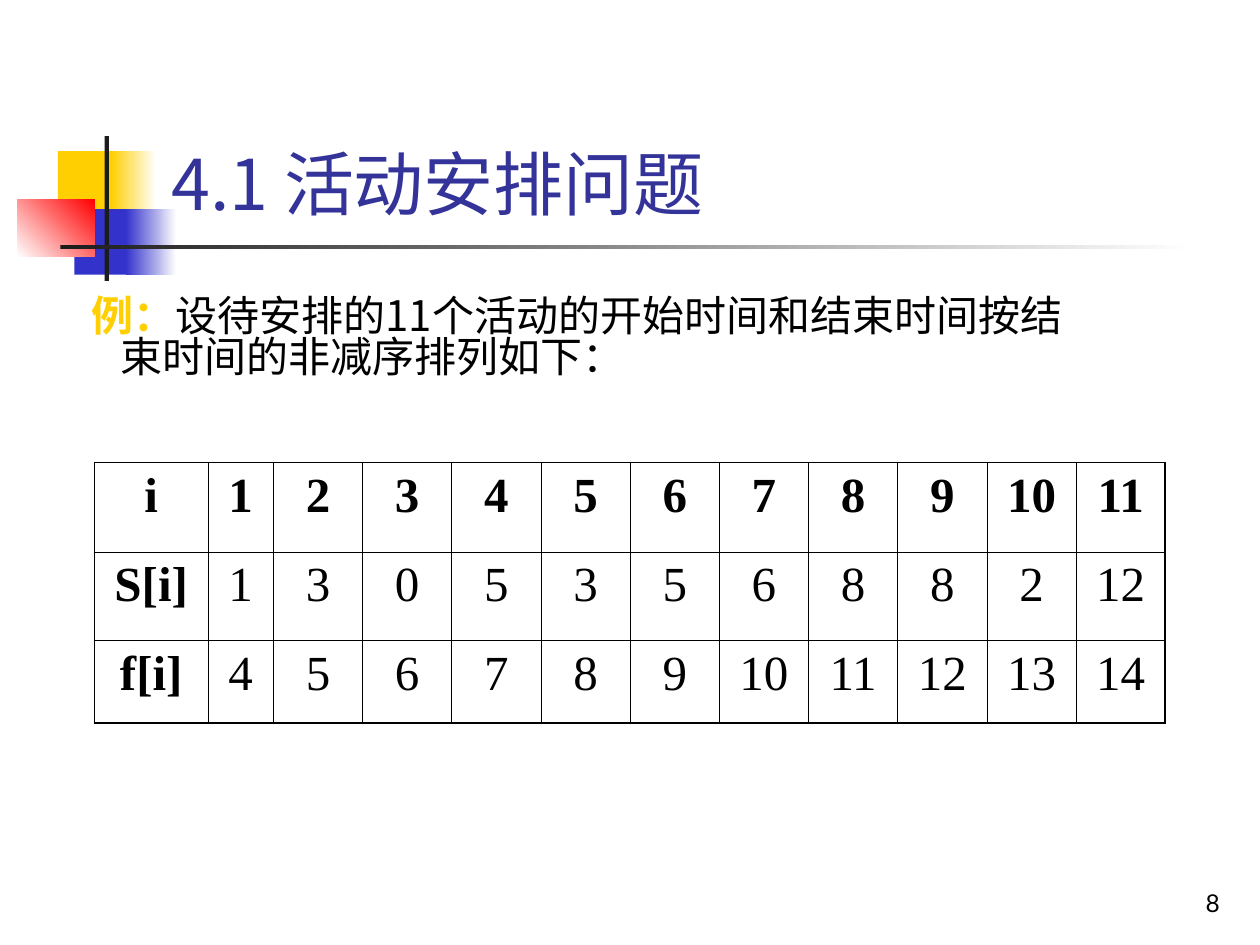
"""Build the activity selection slide with its table of start and finish times."""
from dataclasses import dataclass
from typing import Optional

from lxml.etree import SubElement
from pptx import Presentation
from pptx.dml.color import RGBColor
from pptx.enum.shapes import MSO_SHAPE as Shape
from pptx.enum.text import MSO_ANCHOR as Anchor, MSO_AUTO_SIZE as AutoSize, PP_ALIGN as Align
from pptx.oxml.ns import qn
from pptx.util import Inches, Pt

COLUMNS, ROWS = 100, 75
WIDTH, HEIGHT = Inches(10), Inches(7.5)

YELLOW = RGBColor(0xFF, 0xCF, 0x01)
BLUE = RGBColor(0x33, 0x33, 0xCC)
RED = RGBColor(0xFF, 0x00, 0x00)
WHITE = RGBColor(0xFF, 0xFF, 0xFF)
CHARCOAL = RGBColor(0x1C, 0x1C, 0x1C)
INDIGO = RGBColor(0x33, 0x33, 0x99)
BLACK = RGBColor(0x00, 0x00, 0x00)

HEADING_FONT, TABLE_FONT, NUMBER_FONT = "Noto Sans CJK SC", "Times New Roman", "Lato"
THIN, THICK = 0.45, 1.08


@dataclass(frozen=True)
class Area:
    """A rectangle in grid columns and rows."""
    column: float
    row: float
    columns: float
    rows: float

    def lengths(self) -> tuple[int, int, int, int]:
        """Return left, top, width and height in slide units."""
        across, down = WIDTH / COLUMNS, HEIGHT / ROWS
        return (round(self.column * across), round(self.row * down),
                round(self.columns * across), round(self.rows * down))


@dataclass(frozen=True)
class Block:
    """A decorative rectangle, solid or fading to a second colour."""
    area: Area
    color: RGBColor
    fade: Optional[RGBColor] = None
    angle: float = 0


BLOCKS = (
    Block(Area(4.6, 12, 4.8, 5.2), YELLOW),
    Block(Area(8.8, 12, 3.6, 5.2), YELLOW, WHITE),
    Block(Area(5.9, 16.6, 4.6, 5.2), BLUE),
    Block(Area(10, 16.6, 4, 5.2), BLUE, WHITE),
    Block(Area(1.4, 15.8, 6.1, 4.6), WHITE, RED, 45),
    Block(Area(8.3, 10.8, 0.35, 11.5), CHARCOAL),
    Block(Area(4.8, 19.45, 90, 0.35), CHARCOAL, WHITE),
)
TITLE_AREA = Area(12.6, 2.3, 85.2, 16)
BODY_AREA = Area(4.8, 23.2, 82.7, 11.9)
NUMBER_AREA = Area(77, 68.3, 20.8, 5)
TABLE_AREA = Area(7.5, 36.7, 85, 20.7)
LABEL_COLUMNS, FIRST_COLUMNS = 9, 5.2
TABLE_ROWS = (7.1, 7, 6.6)
ACTIVITIES = (
    ("i", *range(1, 12)),
    ("S[i]", 1, 3, 0, 5, 3, 5, 6, 8, 8, 2, 12),
    ("f[i]", *range(4, 15)),
)


def draw_block(slide, block: Block) -> None:
    """Draw one decorative rectangle."""
    shape = slide.shapes.add_shape(Shape.RECTANGLE, *block.area.lengths())
    shape.shadow.inherit = False
    shape.line.fill.background()
    if block.fade is None:
        shape.fill.solid()
        shape.fill.fore_color.rgb = block.color
        return
    shape.fill.gradient()
    shape.fill.gradient_angle = block.angle
    for stop, color in zip(shape.fill.gradient_stops, (block.color, block.fade)):
        stop.color.rgb = color


def style_para(para, name: str, size: float, color: RGBColor, align=Align.LEFT, bold=False) -> None:
    """Set the alignment and the Latin and East Asian font of a paragraph."""
    para.alignment = align
    font = para.font
    font.name, font.size, font.bold = name, Pt(size), bold
    font.color.rgb = color
    latin = para._p.pPr.find(qn("a:defRPr")).find(qn("a:latin"))
    east_asian = latin.makeelement(qn("a:ea"), {"typeface": name})
    latin.addnext(east_asian)


def place_title(slide) -> None:
    """Move and format the title placeholder in front of the blocks."""
    title = slide.shapes.title
    title.left, title.top, title.width, title.height = TITLE_AREA.lengths()
    frame = title.text_frame
    frame.text = "4.1 活动安排问题"
    frame.auto_size = AutoSize.NONE
    frame.vertical_anchor = Anchor.BOTTOM
    style_para(frame.paragraphs[0], HEADING_FONT, 40, INDIGO)
    title.element.getparent().append(title.element)


def add_text(slide, area: Area, anchor):
    """Add a wrapping text box and return its first paragraph."""
    frame = slide.shapes.add_textbox(*area.lengths()).text_frame
    frame.word_wrap = True
    frame.vertical_anchor = anchor
    return frame.paragraphs[0]


def draw_body(slide) -> None:
    """Write the example with its highlighted lead-in and hanging indent."""
    para = add_text(slide, BODY_AREA, Anchor.TOP)
    para.line_spacing = 0.82
    style_para(para, HEADING_FONT, 24, BLACK)
    para._p.pPr.set("marL", str(Inches(0.38)))
    para._p.pPr.set("indent", str(Inches(-0.23)))
    lead = para.add_run()
    lead.text = "例："
    lead.font.bold = True
    lead.font.color.rgb = YELLOW
    para.add_run().text = "设待安排的11个活动的开始时间和结束时间按结束时间的非减序排列如下："


def draw_number(slide) -> None:
    """Write the page number."""
    para = add_text(slide, NUMBER_AREA, Anchor.BOTTOM)
    para.text = "8"
    style_para(para, NUMBER_FONT, 14, BLACK, Align.RIGHT)


def set_borders(cell, widths: dict[str, float]) -> None:
    """Give each named side of a cell a black line."""
    properties = cell._tc.get_or_add_tcPr()
    for position, (side, width) in enumerate(widths.items()):
        line = properties.makeelement(qn(f"a:ln{side}"), {"w": str(Pt(width))})
        fill = SubElement(line, qn("a:solidFill"))
        SubElement(fill, qn("a:srgbClr"), val=str(BLACK))
        properties.insert(position, line)


def draw_table(slide) -> None:
    """Draw the activities with a heavier frame and bold labels."""
    last_row, last_column = len(ACTIVITIES) - 1, len(ACTIVITIES[0]) - 1
    table = slide.shapes.add_table(last_row + 1, last_column + 1, *TABLE_AREA.lengths()).table
    table.horz_banding = False
    other = (TABLE_AREA.columns - LABEL_COLUMNS - FIRST_COLUMNS) / (last_column - 1)
    shares = (LABEL_COLUMNS, FIRST_COLUMNS, *[other] * (last_column - 1))
    for column, share in zip(table.columns, shares):
        column.width = round(WIDTH * share / COLUMNS)
    for row, share in zip(table.rows, TABLE_ROWS):
        row.height = round(HEIGHT * share / ROWS)
    for r, values in enumerate(ACTIVITIES):
        for c, value in enumerate(values):
            cell = table.cell(r, c)
            cell.text = str(value)
            cell.fill.background()
            style_para(cell.text_frame.paragraphs[0], TABLE_FONT, 28, BLACK,
                       Align.CENTER, bold=r == 0 or c == 0)
            set_borders(cell, {
                "L": THICK if c == 0 else THIN,
                "R": THICK if c == last_column else THIN,
                "T": THICK if r == 0 else THIN,
                "B": THICK if r == last_row else THIN,
            })


def main() -> None:
    """Build and save the deck."""
    deck = Presentation()
    deck.slide_width, deck.slide_height = WIDTH, HEIGHT
    slide = deck.slides.add_slide(deck.slide_layouts[5])
    for block in BLOCKS:
        draw_block(slide, block)
    draw_number(slide)
    place_title(slide)
    draw_body(slide)
    draw_table(slide)
    deck.save("out.pptx")


if __name__ == "__main__":
    main()
